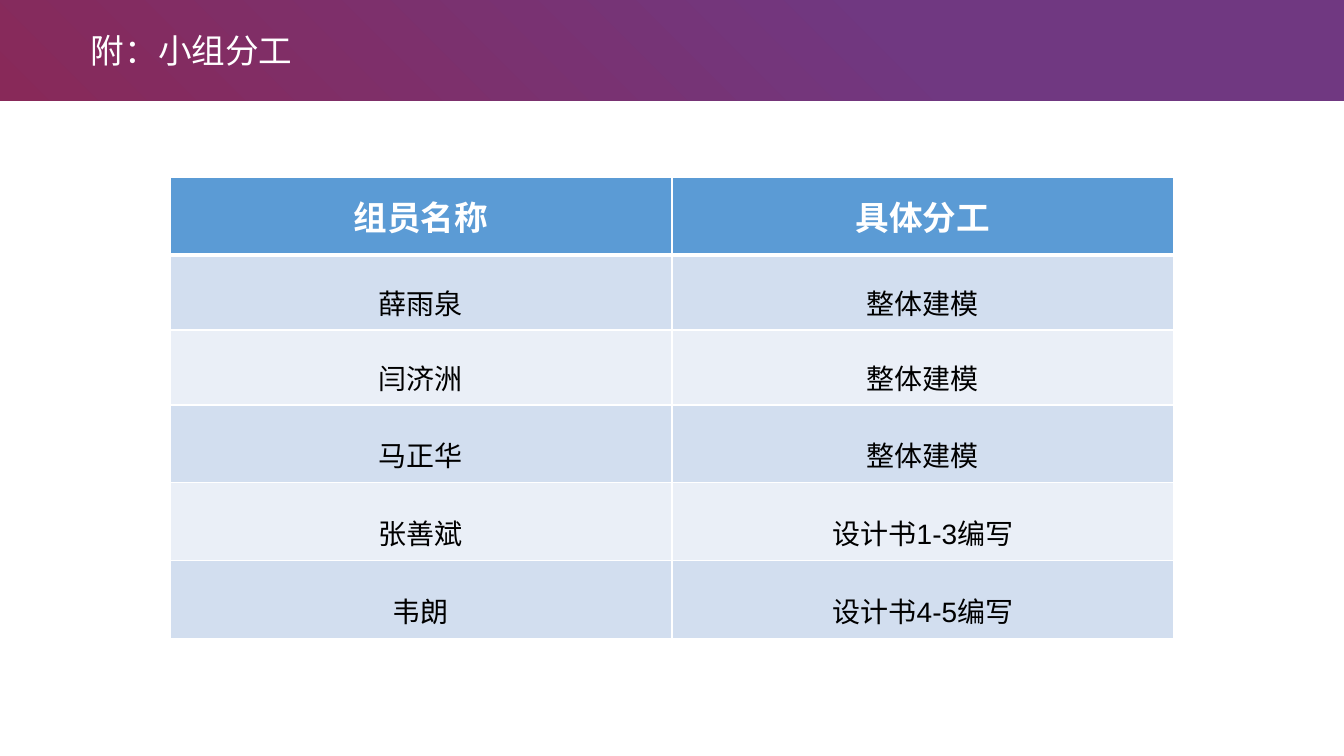
from dataclasses import dataclass

from lxml import etree
from pptx import Presentation
from pptx import util as u
from pptx.dml.color import RGBColor
from pptx.enum import lang, shapes, text
from pptx.oxml import ns


@dataclass(frozen=True)
class Theme:
    """Colours, font and type sizes of the slide."""
    font: str = "Arial"
    purple: str = "703881"
    crimson: str = "882959"
    white: str = "FFFFFF"
    black: str = "000000"
    header: str = "5B9BD5"
    bands: tuple = ("D2DEEF", "EAEFF7")
    title_size: int = 24
    body_size: int = 20


class Deck:
    """Draws styled elements on the current slide."""
    SCALE = 914400 / 100.8

    def __init__(self, theme, width, height):
        self.theme = theme
        self.prs = Presentation()
        self.prs.slide_width, self.prs.slide_height = self.px(width, height)
        self.s = self.prs.slides.add_slide(self.prs.slide_layouts[6])

    def px(self, *lengths):
        return [u.Emu(round(n * self.SCALE)) for n in lengths]

    def run(self, p, words, size, color, bold=False):
        r = p.add_run()
        r.text = words
        r.font.name = self.theme.font
        r.font.size = u.Pt(size)
        r.font.bold = bold
        r.font.color.rgb = RGBColor.from_string(color)
        r.font.language_id = lang.MSO_LANGUAGE_ID.SIMPLIFIED_CHINESE

    def band(self, *box):
        sp = self.s.shapes.add_shape(shapes.MSO_SHAPE.RECTANGLE, *self.px(*box))
        sp.shadow.inherit = False
        sp.line.fill.background()
        sp.fill.gradient()
        sp.fill.gradient_angle = 225
        stops = ((0.32, self.theme.purple), (1, self.theme.crimson))
        for stop, (position, color) in zip(sp.fill.gradient_stops, stops):
            stop.position = position
            stop.color.rgb = RGBColor.from_string(color)

    def title(self, words, *box):
        tf = self.s.shapes.add_textbox(*self.px(*box)).text_frame
        tf.word_wrap = True
        tf.auto_size = text.MSO_AUTO_SIZE.SHAPE_TO_FIT_TEXT
        self.run(tf.paragraphs[0], words, self.theme.title_size, self.theme.white)

    def borders(self, cell, widths):
        tc_pr = cell._tc.get_or_add_tcPr()
        for i, (side, width) in enumerate(zip("LRTB", widths)):
            ln = etree.Element(ns.qn(f"a:ln{side}"), w=str(u.Pt(width)))
            fill = etree.SubElement(ln, ns.qn("a:solidFill"))
            etree.SubElement(fill, ns.qn("a:srgbClr"), val=self.theme.white)
            tc_pr.insert(i, ln)

    def cell(self, cell, words, row):
        t = self.theme
        is_header = row == 0
        color = t.header if is_header else t.bands[(row - 1) % 2]
        cell.fill.solid()
        cell.fill.fore_color.rgb = RGBColor.from_string(color)
        cell.vertical_anchor = text.MSO_ANCHOR.MIDDLE
        p = cell.text_frame.paragraphs[0]
        p.alignment = text.PP_ALIGN.CENTER
        if is_header:
            self.run(p, words, t.title_size, t.white, True)
        else:
            p.line_spacing = 1.5
            self.run(p, words, t.body_size, t.black)
        self.borders(cell, (1, 1, 3 if row == 1 else 1, 3 if is_header else 1))

    def table(self, rows, left, top, col_width, heights):
        cols = len(rows[0])
        box = self.px(left, top, col_width * cols, sum(heights))
        table = self.s.shapes.add_table(len(rows), cols, *box).table
        for column in table.columns:
            column.width = self.px(col_width)[0]
        for i, (row, height) in enumerate(zip(rows, self.px(*heights))):
            table.rows[i].height = height
            for j, words in enumerate(row):
                self.cell(table.cell(i, j), words, i)


def main():
    deck = Deck(Theme(), 1344, 756)
    deck.band(0, 0, 1344, 101)
    deck.title("附：小组分工", 81, 25, 1171, 50)
    duties = [
        ("组员名称", "具体分工"),
        ("薛雨泉", "整体建模"),
        ("闫济洲", "整体建模"),
        ("马正华", "整体建模"),
        ("张善斌", "设计书1-3编写"),
        ("韦朗", "设计书4-5编写"),
    ]
    deck.table(duties, 170, 177, 502, [78, 75, 75, 78, 78, 78])
    deck.prs.save("out.pptx")


if __name__ == "__main__":
    main()
